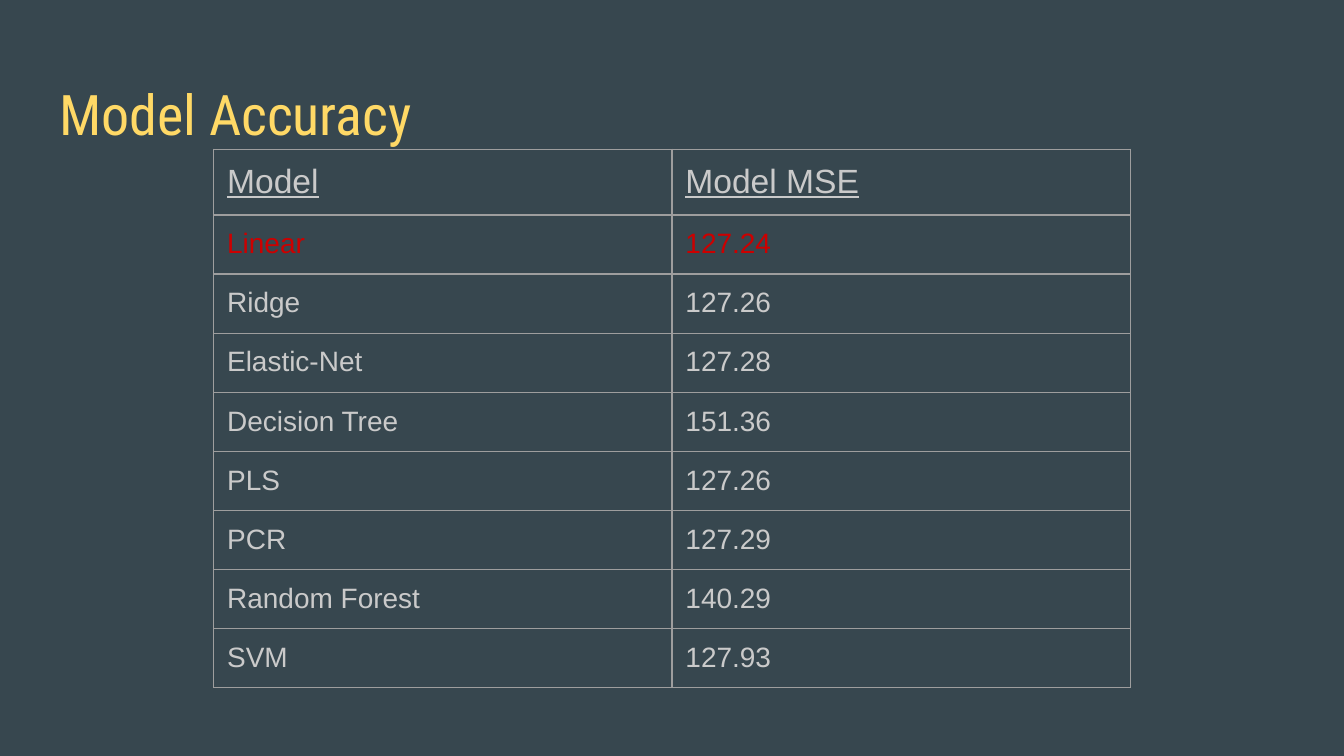
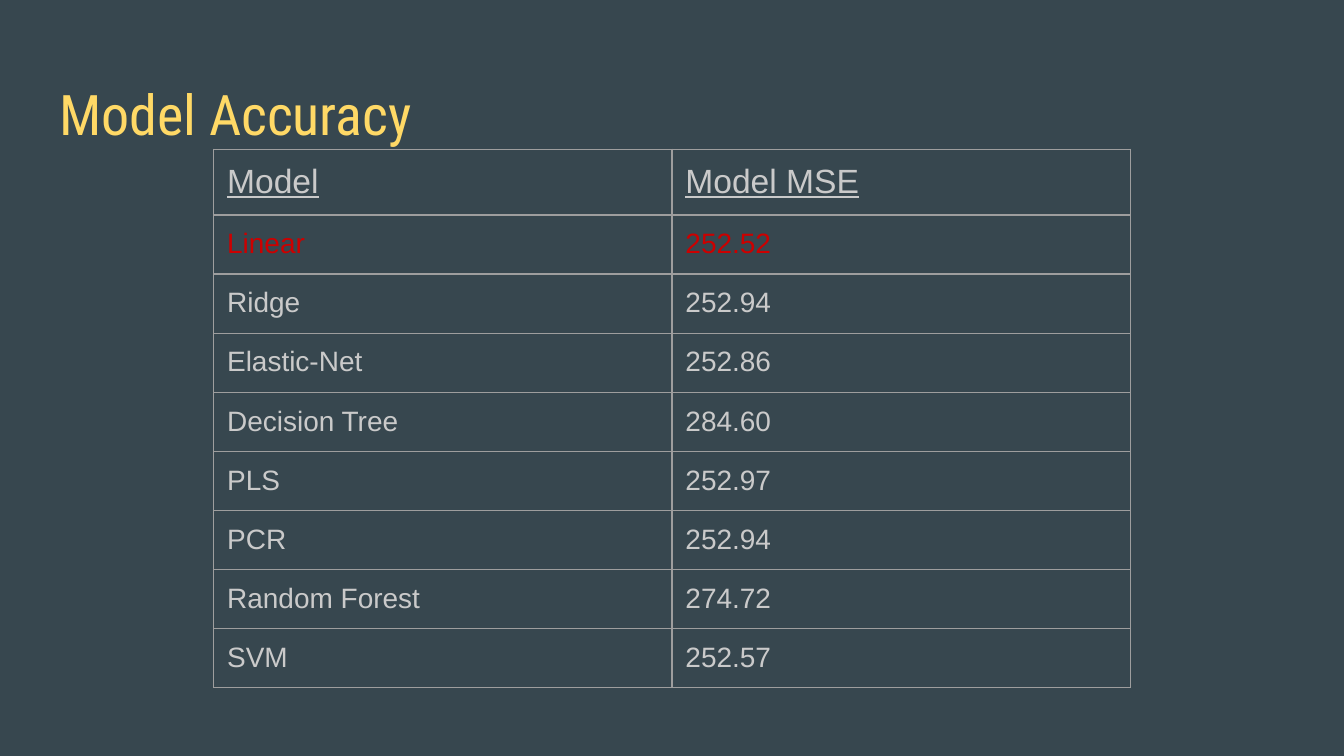
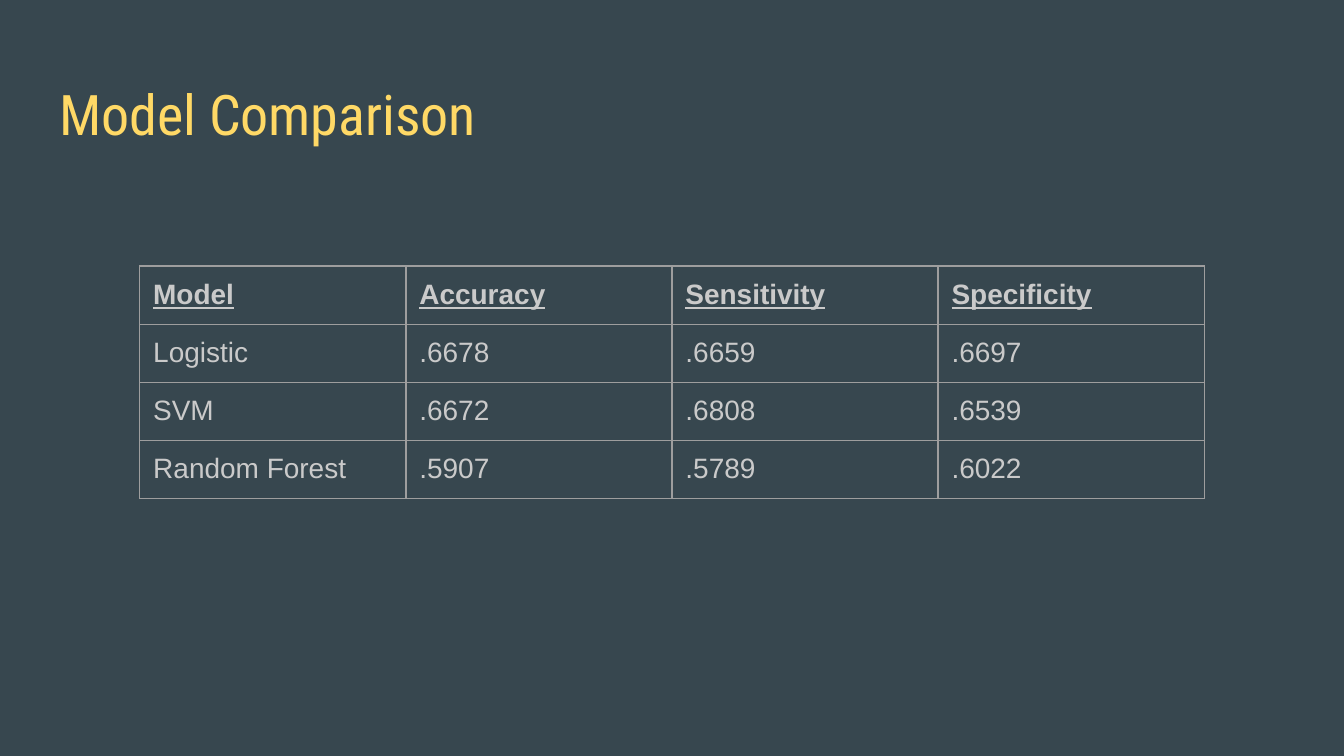
from lxml import etree
from pptx import Presentation
from pptx.dml.color import RGBColor
from pptx.enum.text import MSO_ANCHOR, MSO_AUTO_SIZE, PP_ALIGN
from pptx.oxml.ns import qn
from pptx.util import Inches, Pt

LEFT = PP_ALIGN.LEFT
TOP = MSO_ANCHOR.TOP
NO_AUTOFIT = MSO_AUTO_SIZE.NONE

SLATE = RGBColor(0x37, 0x47, 0x4F)
YELLOW = RGBColor(0xFF, 0xD9, 0x66)
LIGHT_GREY = RGBColor(0xCA, 0xCA, 0xCA)
BORDER_GREY = RGBColor(0x9E, 0x9E, 0x9E)
RED = RGBColor(0xCC, 0x00, 0x00)

TITLE_FONT = "Roboto Condensed"
TABLE_FONT = "Arial"
BODY_SIZE = 15
INSET = Inches(0.1)
TITLE_ONLY = 5

REGRESSION_MODELS = ["Linear", "Ridge", "Elastic-Net", "Decision Tree",
                     "PLS", "PCR", "Random Forest", "SVM"]
MSE_BY_SLIDE = [
    ["127.24", "127.26", "127.28", "151.36",
     "127.26", "127.29", "140.29", "127.93"],
    ["252.52", "252.94", "252.86", "284.60",
     "252.97", "252.94", "274.72", "252.57"],
]
CLASSIFIER_ROWS = [
    ["Model", "Accuracy", "Sensitivity", "Specificity"],
    ["Logistic", ".6678", ".6659", ".6697"],
    ["SVM", ".6672", ".6808", ".6539"],
    ["Random Forest", ".5907", ".5789", ".6022"],
]


def set_insets(target):
    target.margin_left = target.margin_right = INSET
    target.margin_top = target.margin_bottom = INSET


def add_titled_slide(deck, title_text):
    slide = deck.slides.add_slide(deck.slide_layouts[TITLE_ONLY])
    title = slide.shapes.title
    title.left, title.top = Inches(0.34), Inches(0.49)
    title.width, title.height = Inches(9.32), Inches(0.63)
    frame = title.text_frame
    frame.text = title_text
    frame.word_wrap = True
    frame.auto_size = NO_AUTOFIT
    frame.vertical_anchor = TOP
    set_insets(frame)
    paragraph = frame.paragraphs[0]
    paragraph.alignment = LEFT
    paragraph.font.name = TITLE_FONT
    paragraph.font.size = Pt(30)
    paragraph.font.color.rgb = YELLOW
    return slide


def add_cell_borders(cell):
    properties = cell._tc.get_or_add_tcPr()
    for position, side in enumerate(("a:lnL", "a:lnR", "a:lnT", "a:lnB")):
        line = etree.Element(qn(side), w=str(Pt(0.75)))
        fill = etree.SubElement(line, qn("a:solidFill"))
        etree.SubElement(fill, qn("a:srgbClr"), val=str(BORDER_GREY))
        properties.insert(position, line)


def fill_cell(cell, text, size, color, bold, underline):
    cell.text = text
    cell.vertical_anchor = TOP
    set_insets(cell)
    cell.fill.background()
    add_cell_borders(cell)
    font = cell.text_frame.paragraphs[0].font
    font.name = TABLE_FONT
    font.size = Pt(size)
    font.color.rgb = color
    font.bold = bold
    font.underline = underline


def add_model_table(slide, rows, left, top, column_width, row_height,
                    header_height, header_size=BODY_SIZE, header_bold=False,
                    best_row=None):
    """Add a table with an underlined header; best_row is shown in red."""
    column_count = len(rows[0])
    height = header_height + row_height * (len(rows) - 1)
    table = slide.shapes.add_table(
        len(rows), column_count, Inches(left), Inches(top),
        Inches(column_width * column_count), Inches(height)).table
    table.horz_banding = False
    for column in table.columns:
        column.width = Inches(column_width)
    for row_index, values in enumerate(rows):
        is_header = row_index == 0
        table.rows[row_index].height = Inches(
            header_height if is_header else row_height)
        for column_index, value in enumerate(values):
            fill_cell(table.cell(row_index, column_index), value,
                      size=header_size if is_header else BODY_SIZE,
                      color=RED if row_index == best_row else LIGHT_GREY,
                      bold=is_header and header_bold, underline=is_header)


def main():
    deck = Presentation()
    deck.slide_width, deck.slide_height = Inches(10), Inches(5.625)
    background = deck.slide_master.background.fill
    background.solid()
    background.fore_color.rgb = SLATE

    for errors in MSE_BY_SLIDE:
        slide = add_titled_slide(deck, "Model Accuracy")
        rows = [("Model", "Model MSE"), *zip(REGRESSION_MODELS, errors)]
        add_model_table(slide, rows, left=1.59, top=1.11, column_width=3.41,
                        row_height=0.44, header_height=0.49, header_size=18,
                        best_row=1)

    slide = add_titled_slide(deck, "Model Comparison")
    add_model_table(slide, CLASSIFIER_ROWS, left=1.04, top=1.98,
                    column_width=1.98, row_height=0.43, header_height=0.43,
                    header_bold=True)
    deck.save("out.pptx")


if __name__ == "__main__":
    main()
